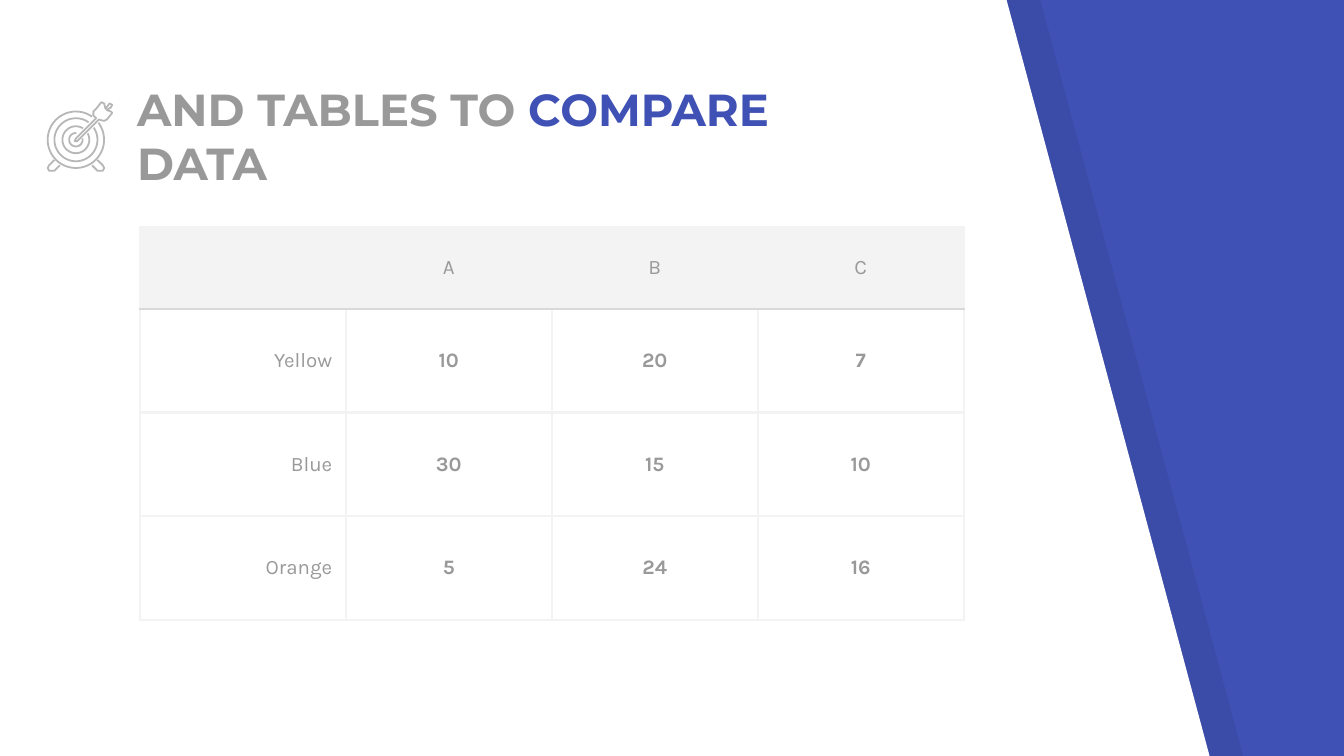
from math import cos, radians, sin
from typing import NamedTuple

from lxml.etree import SubElement
from pptx import Presentation
from pptx.dml.color import RGBColor
from pptx.enum.text import MSO_ANCHOR as Anchor, MSO_AUTO_SIZE as AutoSize, PP_ALIGN as Align
from pptx.oxml.ns import qn
from pptx.util import Inches, Pt

BLUE = RGBColor(0x3F, 0x51, 0xB5)
BLACK = RGBColor(0x00, 0x00, 0x00)
WHITE = RGBColor(0xFF, 0xFF, 0xFF)
TEXT_GREY = RGBColor(0x99, 0x99, 0x99)
ICON_GREY = RGBColor(0xB7, 0xB7, 0xB7)
PALE_GREY = RGBColor(0xF3, 0xF3, 0xF3)
RULE_GREY = RGBColor(0xD9, 0xD9, 0xD9)

W = Inches(10)
H = W * 9 // 16

Point = tuple[float, float]


class Ring(NamedTuple):
    """An open circle, running anticlockwise between two angles."""
    radius: float
    start: int
    end: int


# Icon lengths are in inches around the centre of the target
TARGET: Point = (0.565, 1.04)
RINGS = [Ring(0.21, 55, 397), Ring(0.16, 54, 394), Ring(0.1, 58, 388), Ring(0.05, 85, 372)]
FOOT: list[Point] = [(-0.16, 0.15), (-0.2, 0.19), (-0.21, 0.21), (-0.2, 0.23),
                     (-0.18, 0.23), (-0.16, 0.23), (-0.12, 0.19)]
DART: list[Point] = [(0, -0.01), (0.15, -0.16), (0.13, -0.18), (0.13, -0.21), (0.15, -0.23),
                     (0.19, -0.28), (0.21, -0.27), (0.22, -0.23), (0.25, -0.27),
                     (0.27, -0.26), (0.26, -0.24), (0.23, -0.22), (0.26, -0.21),
                     (0.27, -0.2), (0.23, -0.15), (0.21, -0.14), (0.17, -0.15),
                     (0.01, 0.01), (-0.01, 0.01)]

ROWS = [["", "A", "B", "C"],
        ["Yellow", "10", "20", "7"],
        ["Blue", "30", "15", "10"],
        ["Orange", "5", "24", "16"]]


def add_outline(s, points: list[Point], closed: bool = True):
    """Draw a freeform through points given in EMU."""
    builder = s.shapes.build_freeform(*points[0])
    builder.add_line_segments(points[1:], close=closed)
    sp = builder.convert_to_shape()
    sp.shadow.inherit = False
    return sp


def add_panel(s, offset: float, color: RGBColor, alpha: int = 100) -> None:
    """Draw a slanted panel, moved right by a share of the slide width."""
    shares = [(0, 0), (0, 1), (0.9, 1), (0.749, 0)]
    sp = add_outline(s, [((x + offset) * W, y * H) for x, y in shares])
    sp.fill.solid()
    sp.fill.fore_color.rgb = color
    sp.line.fill.background()
    if alpha < 100:
        clr = sp.fill._xPr.find(qn("a:solidFill"))[0]
        SubElement(clr, qn("a:alpha"), val=str(alpha * 1000))


def add_icon_line(s, points: list[Point], closed: bool = False) -> None:
    cx, cy = TARGET
    sp = add_outline(s, [(Inches(cx + x), Inches(cy + y)) for x, y in points], closed)
    sp.fill.background()
    sp.line.color.rgb = ICON_GREY
    sp.line.width = Pt(0.96)


def ring_points(ring: Ring) -> list[Point]:
    steps = 60
    angles = [radians(ring.start + (ring.end - ring.start) * i / steps)
              for i in range(steps + 1)]
    return [(ring.radius * cos(a), -ring.radius * sin(a)) for a in angles]


def style_run(r, font: str, size: int, color: RGBColor, bold: bool) -> None:
    r.font.name = font
    r.font.size = Pt(size)
    r.font.color.rgb = color
    r.font.bold = bold


def set_border(cell, side: str, color: RGBColor) -> None:
    ln = SubElement(cell._tc.get_or_add_tcPr(), qn(f"a:ln{side}"), w=str(Pt(1.5)))
    fill = SubElement(ln, qn("a:solidFill"))
    SubElement(fill, qn("a:srgbClr"), val=str(color))


def format_cell(cell, row: int, col: int) -> None:
    # The rule under the header is shared by the first two rows
    dark_side = {0: "B", 1: "T"}.get(row)
    for side in "LRTB":
        set_border(cell, side, RULE_GREY if side == dark_side else PALE_GREY)
    if row == 0:
        cell.fill.solid()
        cell.fill.fore_color.rgb = PALE_GREY
    else:
        cell.fill.background()

    cell.vertical_anchor = Anchor.MIDDLE
    cell.margin_left = cell.margin_right = Inches(0.1)
    cell.margin_top = cell.margin_bottom = Inches(0.07)
    p = cell.text_frame.paragraphs[0]
    p.alignment = Align.RIGHT if row and col == 0 else Align.CENTER
    for r in p.runs:
        style_run(r, "Karla", 11, TEXT_GREY, bold=row > 0 and col > 0)


def add_data_table(s) -> None:
    col_width = int(0.1533 * W)
    heights = [int(share * H) for share in (0.109, 0.137, 0.137, 0.137)]
    table = s.shapes.add_table(len(ROWS), len(ROWS[0]), int(0.104 * W), int(0.3 * H),
                               col_width * len(ROWS[0]), sum(heights)).table
    table.first_row = table.horz_banding = False
    for column in table.columns:
        column.width = col_width
    for i, values in enumerate(ROWS):
        table.rows[i].height = heights[i]
        for j, value in enumerate(values):
            cell = table.cell(i, j)
            cell.text = value
            format_cell(cell, i, j)


def set_title(s) -> None:
    title = s.shapes.title
    title.left, title.top = int(0.092 * W), int(0.188 * H)
    title.width, title.height = int(0.525 * W), int(0.08 * H)
    # Bring the title in front of the panels
    title._element.getparent().append(title._element)

    tf = title.text_frame
    tf.word_wrap = True
    tf.auto_size = AutoSize.NONE
    tf.vertical_anchor = Anchor.BOTTOM
    tf.margin_left = tf.margin_right = tf.margin_top = tf.margin_bottom = Inches(0.1)
    p = tf.paragraphs[0]
    p.alignment = Align.LEFT
    for text, color in [("AND TABLES TO ", TEXT_GREY), ("COMPARE", BLUE), (" DATA", TEXT_GREY)]:
        r = p.add_run()
        r.text = text
        style_run(r, "Montserrat", 24, color, bold=True)


def main() -> None:
    prs = Presentation()
    prs.slide_width, prs.slide_height = W, H
    s = prs.slides.add_slide(prs.slide_layouts[5])

    # Background with slanted panels
    s.background.fill.solid()
    s.background.fill.fore_color.rgb = BLUE
    add_panel(s, 0.025, BLACK, alpha=7)
    add_panel(s, 0, WHITE)

    # Title and table
    set_title(s)
    add_data_table(s)

    # Target icon: rings, mirrored feet and dart
    for ring in RINGS:
        add_icon_line(s, ring_points(ring))
    for mirror in (1, -1):
        add_icon_line(s, [(mirror * x, y) for x, y in FOOT])
    add_icon_line(s, DART, closed=True)

    prs.save("out.pptx")


if __name__ == "__main__":
    main()
